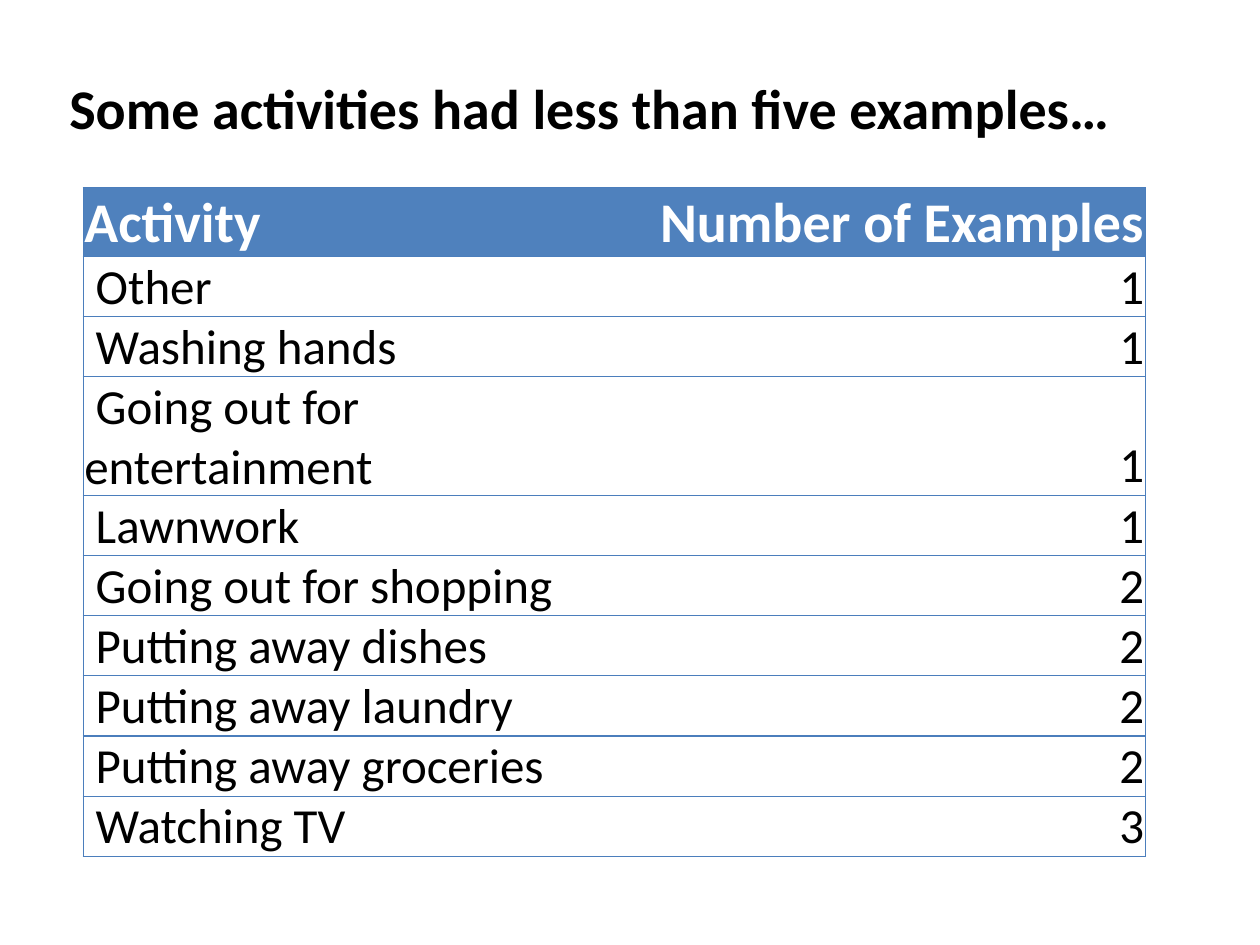
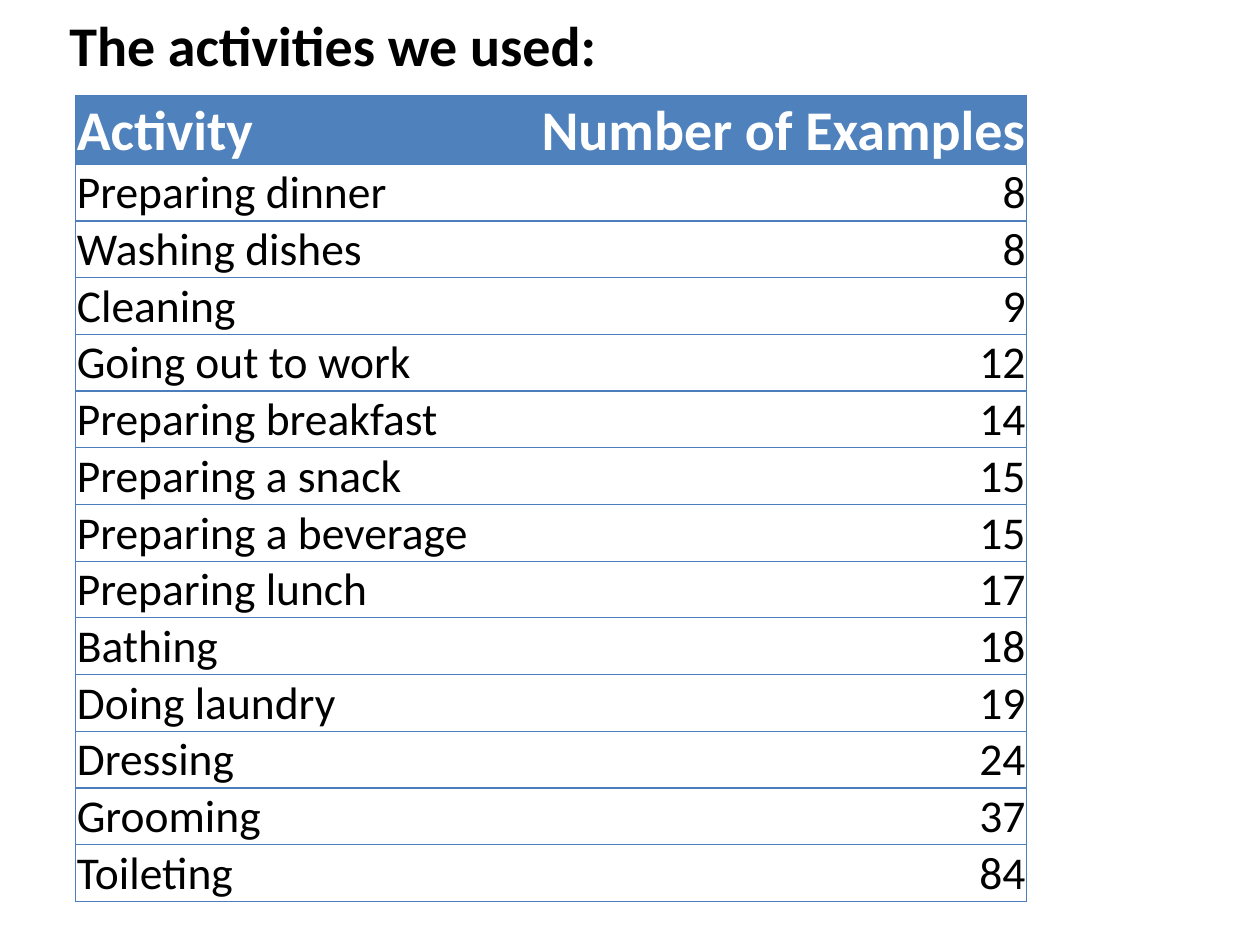
from dataclasses import dataclass

from lxml.etree import SubElement
from pptx import Presentation
from pptx.dml.color import RGBColor
from pptx.enum.text import MSO_ANCHOR as Anchor, MSO_AUTO_SIZE as AutoSize, PP_ALIGN as Align
from pptx.oxml.ns import qn
from pptx.util import Inches, Length, Pt

FONT = "Calibri"
BLACK = "000000"
WHITE = "FFFFFF"
HEADER_BLUE = "4F81BD"
BORDER_BLUE = "4B7EBC"
PLAIN_TABLE_STYLE = "{2D5ABB26-0587-4C30-8999-92F81FD0307C}"
HEADINGS = ("Activity", "Number of Examples")
HEADING_SIZE = 32
TITLE_ONLY = 5


@dataclass(frozen=True)
class ActivityPage:
    title: str
    title_top: Length
    left: Length
    top: Length
    column_widths: tuple[Length, Length]
    header_height: Length
    row_height: Length
    text_size: int
    name_indent: Length
    counts: dict[str, int]


PAGES = (
    ActivityPage(
        title="Some activities had less than five examples…",
        title_top=Inches(0.53),
        left=Inches(0.66),
        top=Inches(1.49),
        column_widths=(Inches(3.8), Inches(4.63)),
        header_height=Inches(0.47),
        row_height=Inches(0.47),
        text_size=28,
        name_indent=Inches(0.09),
        counts={
            "Other": 1,
            "Washing hands": 1,
            "Going out for entertainment": 1,
            "Lawnwork": 1,
            "Going out for shopping": 2,
            "Putting away dishes": 2,
            "Putting away laundry": 2,
            "Putting away groceries": 2,
            "Watching TV": 3,
        },
    ),
    ActivityPage(
        title="The activities we used:",
        title_top=Inches(0.03),
        left=Inches(0.6),
        top=Inches(0.76),
        column_widths=(Inches(3.42), Inches(4.13)),
        header_height=Inches(0.53),
        row_height=Inches(0.45),
        text_size=26,
        name_indent=Inches(0),
        counts={
            "Preparing dinner": 8,
            "Washing dishes": 8,
            "Cleaning": 9,
            "Going out to work": 12,
            "Preparing breakfast": 14,
            "Preparing a snack": 15,
            "Preparing a beverage": 15,
            "Preparing lunch": 17,
            "Bathing": 18,
            "Doing laundry": 19,
            "Dressing": 24,
            "Grooming": 37,
            "Toileting": 84,
        },
    ),
)


def rgb(color: str) -> RGBColor:
    return RGBColor.from_string(color)


def write_text(frame, text: str, *, size: int, color: str = BLACK, bold: bool = False,
               align: Align = Align.LEFT, indent: Length = Inches(0)) -> None:
    para = frame.paragraphs[0]
    para.alignment = align
    if indent:
        para._p.get_or_add_pPr().set("indent", str(indent))
    span = para.add_run()
    span.text = text
    span.font.name = FONT
    span.font.size = Pt(size)
    span.font.bold = bold
    span.font.color.rgb = rgb(color)


def add_borders(cell, sides: str) -> None:
    properties = cell._tc.get_or_add_tcPr()
    for side in sides:
        line = SubElement(properties, qn(f"a:ln{side}"), w=str(Pt(0.75)))
        fill = SubElement(line, qn("a:solidFill"))
        SubElement(fill, qn("a:srgbClr"), val=BORDER_BLUE)


def add_title(page, content: ActivityPage) -> None:
    box = page.shapes.title
    box.left, box.top = Inches(0.45), content.title_top
    box.width, box.height = Inches(8.73), Inches(0.64)
    frame = box.text_frame
    frame.word_wrap = True
    frame.auto_size = AutoSize.SHAPE_TO_FIT_TEXT
    frame.vertical_anchor = Anchor.TOP
    write_text(frame, content.title, size=HEADING_SIZE, bold=True)


def add_activity_table(page, content: ActivityPage) -> None:
    rows = [HEADINGS, *content.counts.items()]
    height = content.header_height + content.row_height * len(content.counts)
    table = page.shapes.add_table(len(rows), len(HEADINGS), content.left, content.top,
                                  sum(content.column_widths), height).table
    table.horz_banding = False
    table._tbl.tblPr.find(qn("a:tableStyleId")).text = PLAIN_TABLE_STYLE
    for column, width in zip(table.columns, content.column_widths):
        column.width = width
    for row_index, values in enumerate(rows):
        is_header = row_index == 0
        table.rows[row_index].height = content.header_height if is_header else content.row_height
        for column_index, value in enumerate(values):
            is_name = column_index == 0
            cell = table.cell(row_index, column_index)
            cell.margin_left = cell.margin_right = cell.margin_top = Inches(0.01)
            cell.margin_bottom = Inches(0)
            cell.vertical_anchor = Anchor.BOTTOM
            add_borders(cell, "LTB" if is_name else "RTB")
            cell.fill.solid()
            cell.fill.fore_color.rgb = rgb(HEADER_BLUE if is_header else WHITE)
            write_text(
                cell.text_frame, str(value),
                size=HEADING_SIZE if is_header else content.text_size,
                color=WHITE if is_header else BLACK,
                bold=is_header,
                align=Align.LEFT if is_name else Align.RIGHT,
                indent=content.name_indent if is_name and not is_header else Inches(0),
            )


def main() -> None:
    deck = Presentation()
    deck.slide_width, deck.slide_height = Inches(10), Inches(7.5)
    for content in PAGES:
        page = deck.slides.add_slide(deck.slide_layouts[TITLE_ONLY])
        add_title(page, content)
        add_activity_table(page, content)
    deck.save("out.pptx")


if __name__ == "__main__":
    main()
